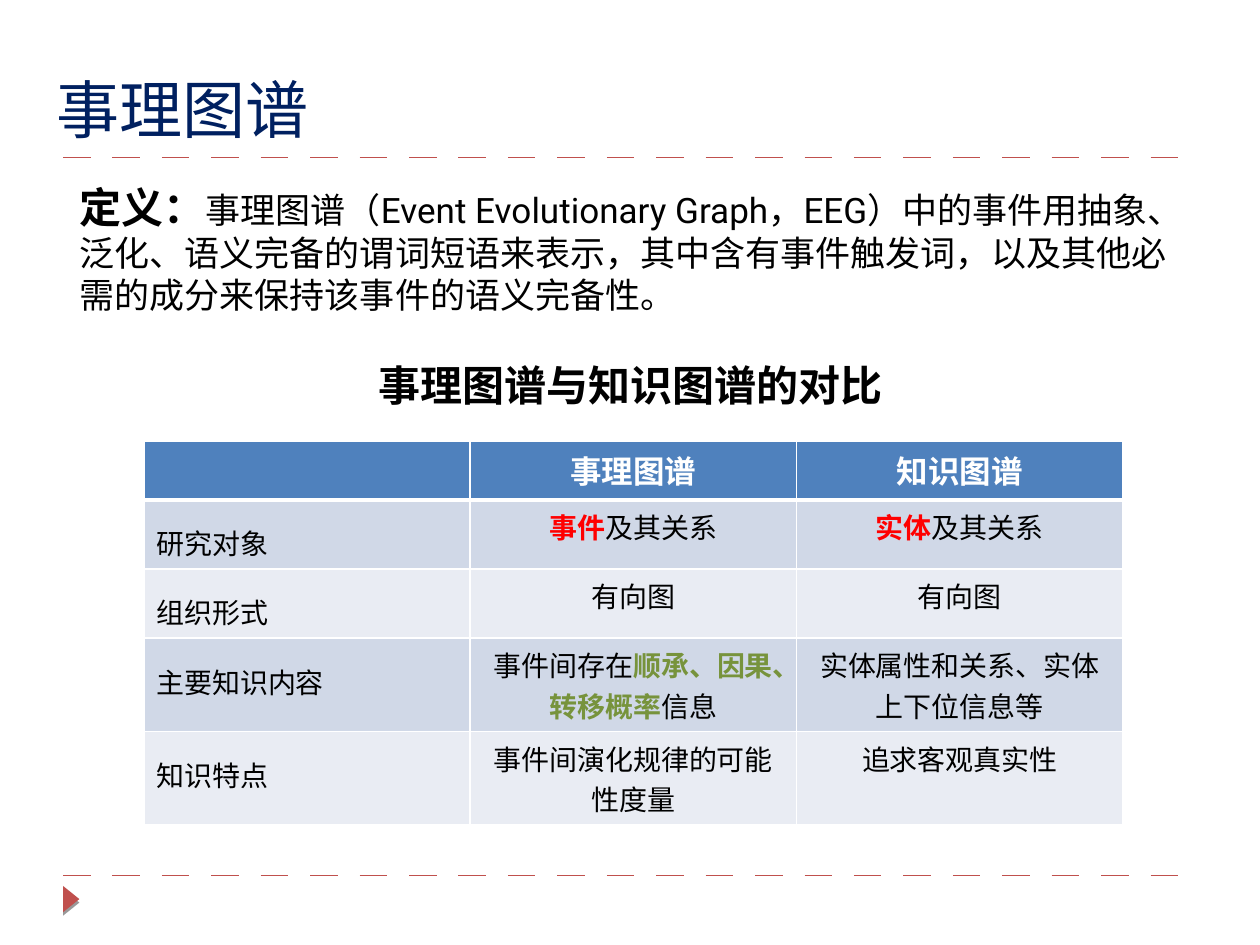
from lxml.etree import SubElement
from pptx import Presentation
from pptx.dml.color import RGBColor
from pptx.enum.shapes import MSO_CONNECTOR, MSO_SHAPE
from pptx.enum.text import MSO_ANCHOR, MSO_AUTO_SIZE, PP_ALIGN
from pptx.oxml.ns import qn
from pptx.util import Cm, Pt

NAVY = RGBColor(0x00, 0x20, 0x60)
BLACK = RGBColor(0x00, 0x00, 0x00)
WHITE = RGBColor(0xFF, 0xFF, 0xFF)
BRICK = RGBColor(0xC0, 0x50, 0x4D)
RED = RGBColor(0xFF, 0x00, 0x00)
GREEN = RGBColor(0x77, 0x93, 0x3C)
HEADER_BLUE = RGBColor(0x4F, 0x81, 0xBD)
BANDS = RGBColor(0xD0, 0xD8, 0xE7), RGBColor(0xE9, 0xEC, 0xF3)

CJK_FONT = "Noto Sans CJK SC"
BODY_FONT = "Roboto"
TABLE_FONT = "Arial"

DEFINITION = (
    "事理图谱（Event Evolutionary Graph，EEG）中的事件用抽象、泛化、语义完备的谓词短语来表示，"
    "其中含有事件触发词，以及其他必需的成分来保持该事件的语义完备性。"
)
HEADINGS = ["", "事理图谱", "知识图谱"]
# Each cell is a list of (text, highlight colour or None).
COMPARISON = [
    [[("研究对象", None)],
     [("事件", RED), ("及其关系", None)],
     [("实体", RED), ("及其关系", None)]],
    [[("组织形式", None)], [("有向图", None)], [("有向图", None)]],
    [[("主要知识内容", None)],
     [("事件间存在", None), ("顺承、因果、转移概率", GREEN), ("信息", None)],
     [("实体属性和关系、实体上下位信息等", None)]],
    [[("知识特点", None)],
     [("事件间演化规律的可能性度量", None)],
     [("追求客观真实性", None)]],
]
ROW_HEIGHTS = [1.19, 0.89, 0.89, 1.55, 1.55]
THIN, THICK = 0.96, 3


def add_run(paragraph, text, size, color, latin, east_asian, bold=False):
    run = paragraph.add_run()
    run.text = text
    font = run.font
    font.size, font.bold, font.name = Pt(size), bold, latin
    font.color.rgb = color
    SubElement(font._element, qn("a:ea"), typeface=east_asian)


def place(placeholder, left, top, width, height, anchor):
    placeholder.left, placeholder.top = Cm(left), Cm(top)
    placeholder.width, placeholder.height = Cm(width), Cm(height)
    frame = placeholder.text_frame
    frame.word_wrap = True
    frame.auto_size = MSO_AUTO_SIZE.NONE
    frame.vertical_anchor = anchor
    return frame


def add_title(slide, left, top, width, height):
    frame = place(slide.shapes.title, left, top, width, height, MSO_ANCHOR.BOTTOM)
    title = frame.paragraphs[0]
    title.alignment = PP_ALIGN.LEFT
    add_run(title, "事理图谱", 36, NAVY, CJK_FONT, CJK_FONT)


def add_body(slide, left, top, width, height):
    frame = place(slide.placeholders[1], left, top, width, height, MSO_ANCHOR.TOP)
    definition, table_heading = frame.paragraphs[0], frame.add_paragraph()
    for paragraph, gap in ((definition, 0), (table_heading, 25)):
        paragraph.space_before = Pt(gap)
        properties = paragraph._p.get_or_add_pPr()
        properties.set("marL", "0")
        properties.set("indent", "0")
        SubElement(properties, qn("a:buNone"))
    add_run(definition, "定义：", 24, BLACK, BODY_FONT, BODY_FONT, bold=True)
    add_run(definition, DEFINITION, 20, BLACK, BODY_FONT, BODY_FONT)
    table_heading.alignment = PP_ALIGN.CENTER
    add_run(table_heading, "事理图谱与知识图谱的对比", 24, BLACK, BODY_FONT, BODY_FONT, bold=True)


def style_cell(cell, fill, top, bottom):
    """Give the cell white borders, in points at top and bottom, and its fill."""
    properties = cell._tc.get_or_add_tcPr()
    for side, width in (("L", THIN), ("R", THIN), ("T", top), ("B", bottom)):
        border = SubElement(properties, qn(f"a:ln{side}"), w=str(Pt(width)))
        solid = SubElement(border, qn("a:solidFill"))
        SubElement(solid, qn("a:srgbClr"), val=str(WHITE))
    cell.fill.solid()
    cell.fill.fore_color.rgb = fill


def add_comparison(slide, left, top, width):
    table = slide.shapes.add_table(
        len(ROW_HEIGHTS), len(HEADINGS),
        Cm(left), Cm(top), Cm(width), Cm(sum(ROW_HEIGHTS))).table
    for row, height in zip(table.rows, ROW_HEIGHTS):
        row.height = Cm(height)

    for column, heading in enumerate(HEADINGS):
        cell = table.cell(0, column)
        style_cell(cell, HEADER_BLUE, THIN, THICK)
        if heading:
            paragraph = cell.text_frame.paragraphs[0]
            paragraph.alignment = PP_ALIGN.CENTER
            add_run(paragraph, heading, 18, WHITE, TABLE_FONT, CJK_FONT, bold=True)

    for row, contents in enumerate(COMPARISON, start=1):
        for column, pieces in enumerate(contents):
            cell = table.cell(row, column)
            style_cell(cell, BANDS[(row - 1) % 2], THICK if row == 1 else THIN, THIN)
            paragraph = cell.text_frame.paragraphs[0]
            if column == 0:
                paragraph.line_spacing = 1.4
            else:
                paragraph.alignment = PP_ALIGN.CENTER
            for text, highlight in pieces:
                add_run(paragraph, text, 16, highlight or BLACK, TABLE_FONT, CJK_FONT,
                        bold=highlight is not None)


def add_dashed_rule(slide, left, top, width):
    rule = slide.shapes.add_connector(
        MSO_CONNECTOR.STRAIGHT, Cm(left), Cm(top), Cm(left + width), Cm(top))
    rule.line.color.rgb = BRICK
    rule.line.width = Pt(0.75)
    dashes = SubElement(rule.line._get_or_add_ln(), qn("a:custDash"))
    SubElement(dashes, qn("a:ds"), d="2133000", sp="1700000")
    SubElement(rule._element.spPr, qn("a:effectLst"))


def add_page_marker(slide, left, top, width, height):
    marker = slide.shapes.add_shape(
        MSO_SHAPE.ISOSCELES_TRIANGLE, Cm(left), Cm(top), Cm(width), Cm(height))
    marker.rotation = 90
    marker.fill.solid()
    marker.fill.fore_color.rgb = BRICK
    marker.line.fill.background()
    marker.shadow.inherit = False
    effects = marker._element.spPr.find(qn("a:effectLst"))
    shadow = SubElement(effects, qn("a:outerShdw"), dist=str(Pt(2)),
                        dir="5400000", rotWithShape="0")
    shade = SubElement(shadow, qn("a:srgbClr"), val=str(BLACK))
    SubElement(shade, qn("a:alpha"), val="40000")


def main():
    presentation = Presentation()
    presentation.slide_width, presentation.slide_height = Cm(25.4), Cm(19.05)
    slide = presentation.slides.add_slide(presentation.slide_layouts[1])
    for rule_top in (17.65, 3.17):
        add_dashed_rule(slide, 1.27, rule_top, 22.86)
    add_page_marker(slide, 1.17, 17.96, 0.53, 0.33)
    add_title(slide, 0.89, 0.33, 22.63, 2.74)
    add_body(slide, 1.35, 3.53, 22.71, 12.12)
    add_comparison(slide, 2.9, 8.89, 19.74)
    presentation.save("out.pptx")


if __name__ == "__main__":
    main()
